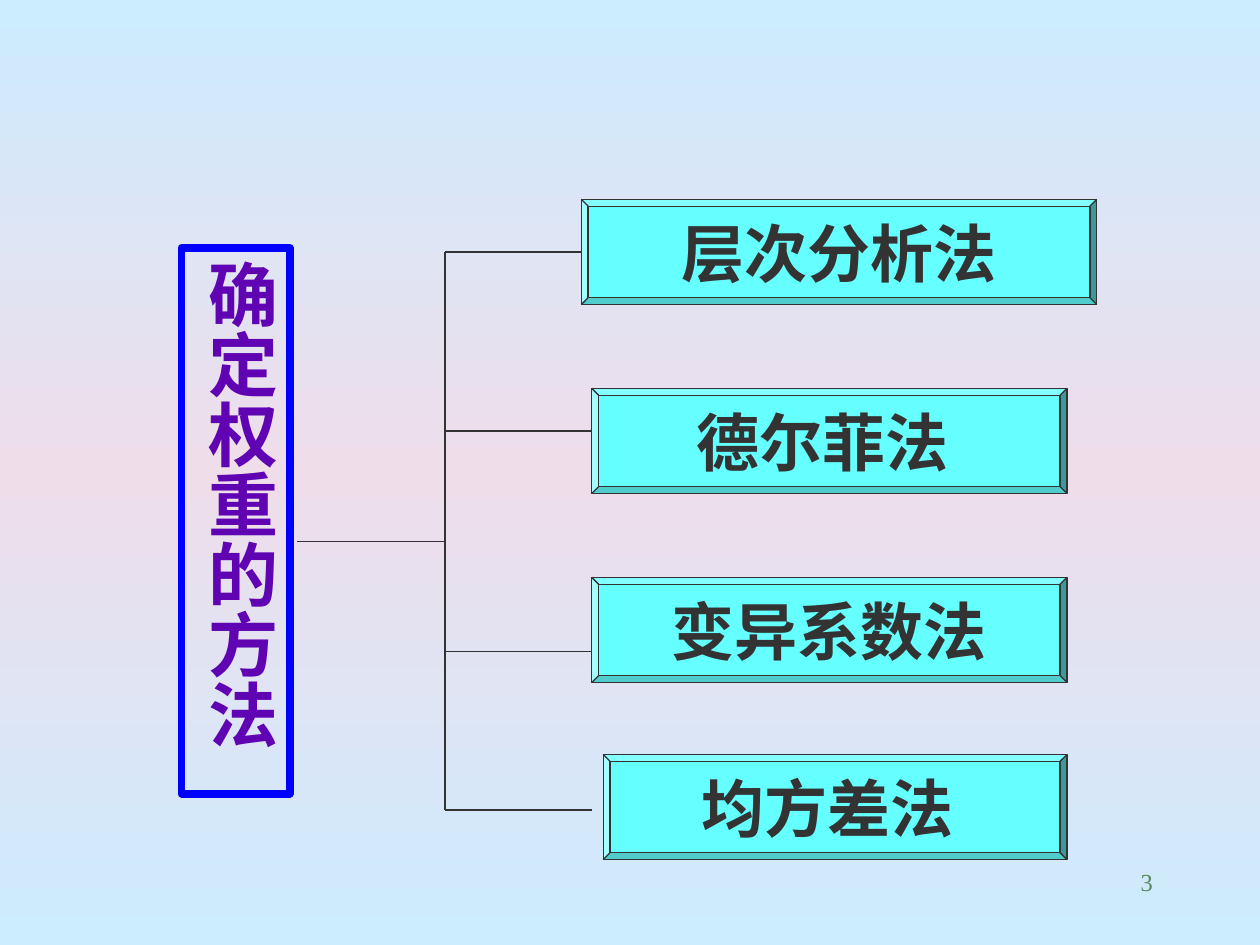
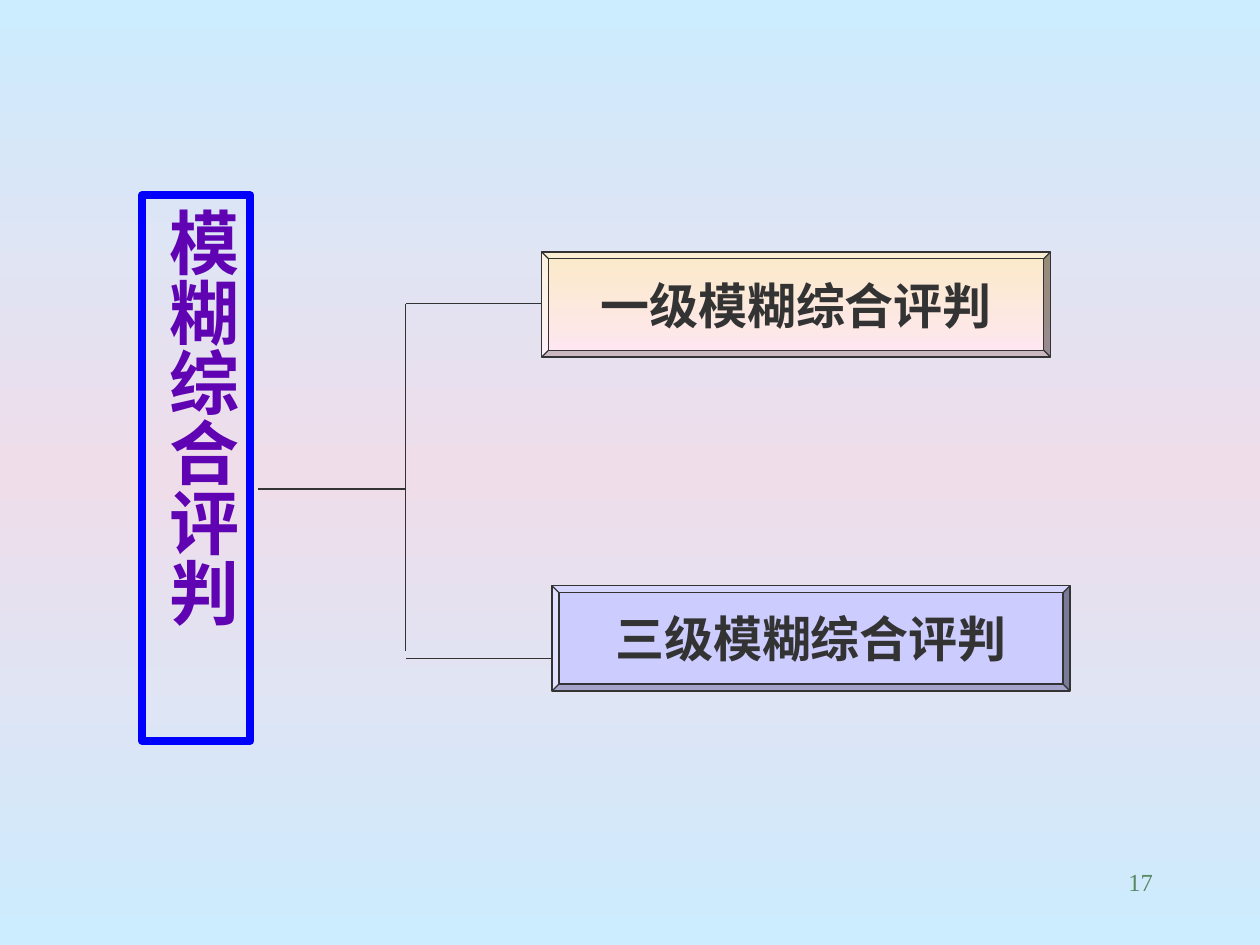
from typing import NamedTuple

from lxml.etree import SubElement
from pptx import Presentation
from pptx.dml.color import RGBColor
from pptx.enum.shapes import MSO_CONNECTOR, MSO_SHAPE
from pptx.enum.text import MSO_ANCHOR, PP_ALIGN
from pptx.oxml.ns import qn
from pptx.util import Cm, Pt

# Shared look
SKY = RGBColor(0xCC, 0xEC, 0xFF)
ROSE = RGBColor(0xEF, 0xDD, 0xEA)
AQUA = RGBColor(0x66, 0xFF, 0xFF)
LILAC = RGBColor(0xCC, 0xCC, 0xFF)
CREAM = RGBColor(0xFB, 0xEA, 0xC7)
BLUSH = RGBColor(0xFE, 0xE7, 0xF2)
INK = RGBColor(0x33, 0x33, 0x33)
BLUE = RGBColor(0x00, 0x00, 0xFF)
PURPLE = RGBColor(0x5F, 0x03, 0xB3)
GREEN = RGBColor(0x57, 0x89, 0x63)
SANS = "Noto Sans CJK SC"
SERIF = "Times New Roman"

# Shared measures in cm
TITLE_W, TITLE_H = 2.18, 11
BOX_H = 2.12
STEM_START, SPINE_OFFSET = 2.33, 5.31  # from the left of the title


class TextStyle(NamedTuple):
    size: int
    font: str
    color: RGBColor
    bold: bool = True


class Branch(NamedTuple):
    text: str
    left: float
    top: float
    width: float
    line_y: float
    line_end: float
    colors: tuple[RGBColor, ...] = (AQUA,)


class Tree(NamedTuple):
    title: str
    left: float
    top: float
    stem_y: float
    spine_end: float
    branch_style: TextStyle
    branches: list[Branch]
    number: str


TITLE_STYLE = TextStyle(40, SANS, PURPLE)
NUMBER_STYLE = TextStyle(14, SERIF, GREEN, False)

TREES = [
    Tree("确定权重的方法", 3.66, 5, 10.92, 16.33, TextStyle(36, SANS, INK), [
        Branch("层次分析法", 11.72, 4.02, 10.39, 5.08, 11.72),
        Branch("德尔菲法 ", 11.93, 7.83, 9.58, 8.69, 11.93),
        Branch("变异系数法", 11.93, 11.64, 9.58, 13.13, 11.93),
        Branch("均方差法 ", 12.16, 15.21, 9.35, 16.33, 11.93),
    ], "3"),
    Tree("模糊综合评判", 2.87, 3.94, 9.86, 13.13, TextStyle(28, SERIF, INK), [
        Branch("一级模糊综合评判", 10.92, 5.08, 10.26, 6.12, 10.92, (CREAM, BLUSH)),
        Branch("三级模糊综合评判", 11.13, 11.81, 10.44, 13.28, 11.13, (LILAC,)),
    ], "17"),
]


def set_gradient(fill, element, colors: tuple[RGBColor, ...]) -> None:
    """Run evenly spaced colours from top to bottom."""
    fill.gradient()
    fill.gradient_angle = 270
    stops = next(element.iter(qn("a:gsLst")))
    for stop in list(stops):
        stops.remove(stop)
    for i, color in enumerate(colors):
        position = 100000 * i // (len(colors) - 1)
        stop = SubElement(stops, qn("a:gs"), pos=str(position))
        SubElement(stop, qn("a:srgbClr"), val=str(color))


def write(tf, text: str, style: TextStyle, align: PP_ALIGN) -> None:
    p = tf.paragraphs[0]
    p.alignment = align
    r = p.add_run()
    r.text = text
    r.font.size = Pt(style.size)
    r.font.bold = style.bold
    r.font.color.rgb = style.color
    r.font.name = style.font
    SubElement(r.font._element, qn("a:ea"), typeface=SANS)


def add_line(slide, x1: float, y1: float, x2: float, y2: float) -> None:
    line = slide.shapes.add_connector(
        MSO_CONNECTOR.STRAIGHT, Cm(x1), Cm(y1), Cm(x2), Cm(y2))
    line.line.color.rgb = INK
    line.line.width = Pt(0.75)
    SubElement(line.element.spPr, qn("a:effectLst"))


def add_title(slide, tree: Tree) -> None:
    sp = slide.shapes.add_shape(
        MSO_SHAPE.RECTANGLE, Cm(tree.left), Cm(tree.top), Cm(TITLE_W), Cm(TITLE_H))
    sp.shadow.inherit = False
    sp.fill.background()
    sp.line.color.rgb = BLUE
    sp.line.width = Pt(4.5)
    tf = sp.text_frame
    tf.word_wrap = True
    tf.vertical_anchor = MSO_ANCHOR.TOP
    tf.margin_left = tf.margin_right = Cm(0.13)
    tf.margin_top = tf.margin_bottom = Cm(0.25)
    tf._txBody.bodyPr.set("vert", "eaVert")
    write(tf, tree.title, TITLE_STYLE, PP_ALIGN.CENTER)


def add_branch(slide, branch: Branch, style: TextStyle) -> None:
    sp = slide.shapes.add_shape(
        MSO_SHAPE.BEVEL, Cm(branch.left), Cm(branch.top), Cm(branch.width), Cm(BOX_H))
    sp.adjustments[0] = 0.065
    sp.shadow.inherit = False
    if len(branch.colors) > 1:
        set_gradient(sp.fill, sp.element, branch.colors)
    else:
        sp.fill.solid()
        sp.fill.fore_color.rgb = branch.colors[0]
    sp.line.color.rgb = INK
    sp.line.width = Pt(0.75)
    tf = sp.text_frame
    tf.word_wrap = False
    tf.vertical_anchor = MSO_ANCHOR.MIDDLE
    write(tf, branch.text, style, PP_ALIGN.CENTER)


def add_number(slide, number: str) -> None:
    tf = slide.shapes.add_textbox(Cm(18.2), Cm(17.36), Cm(5.29), Cm(1.27)).text_frame
    tf.word_wrap = True
    write(tf, number, NUMBER_STYLE, PP_ALIGN.RIGHT)


def add_tree(prs, tree: Tree) -> None:
    slide = prs.slides.add_slide(prs.slide_layouts[6])
    set_gradient(slide.background.fill, slide.element, (SKY, ROSE, SKY))
    add_title(slide, tree)

    # Stem and spine
    spine = tree.left + SPINE_OFFSET
    add_line(slide, tree.left + STEM_START, tree.stem_y, spine, tree.stem_y)
    add_line(slide, spine, tree.branches[0].line_y, spine, tree.spine_end)

    # Branches
    for branch in tree.branches:
        add_line(slide, spine, branch.line_y, branch.line_end, branch.line_y)
        add_branch(slide, branch, tree.branch_style)
    add_number(slide, tree.number)


def main() -> None:
    prs = Presentation()
    prs.slide_width, prs.slide_height = Cm(25.4), Cm(19.05)
    for tree in TREES:
        add_tree(prs, tree)
    prs.save("out.pptx")


if __name__ == "__main__":
    main()
